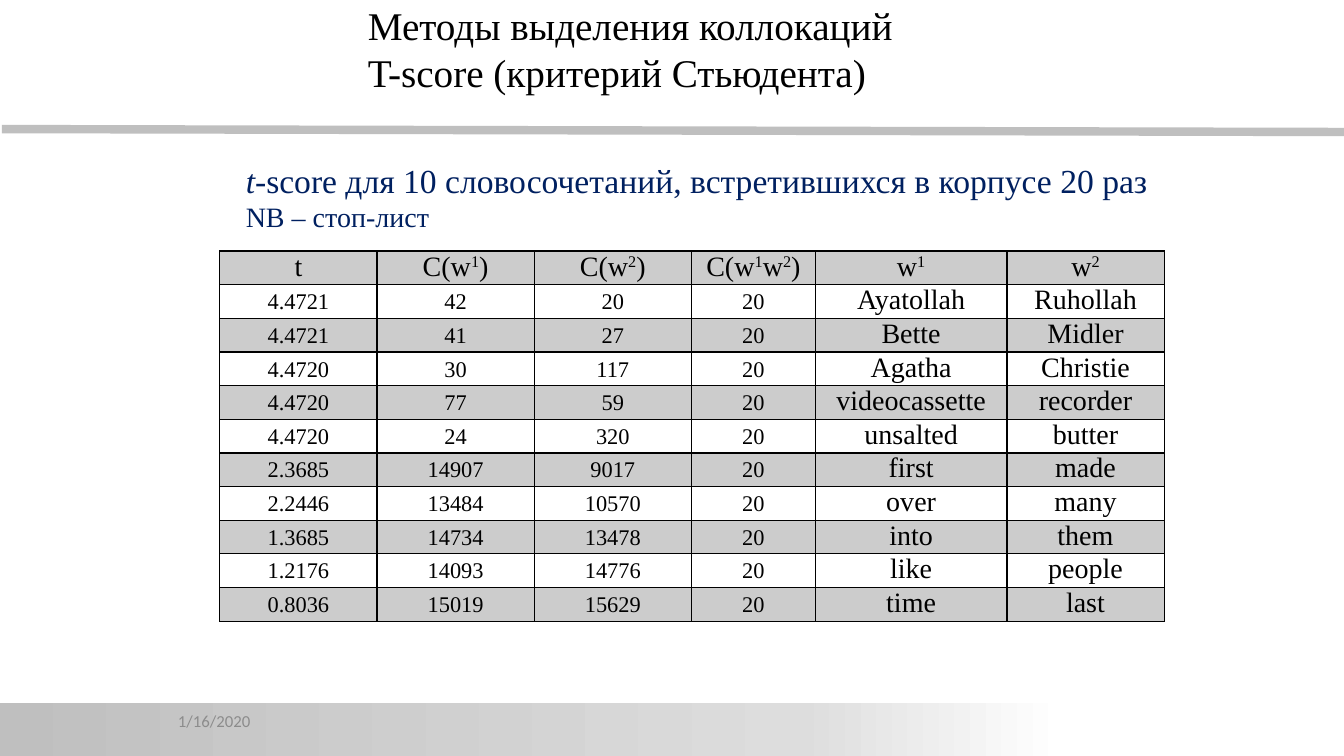
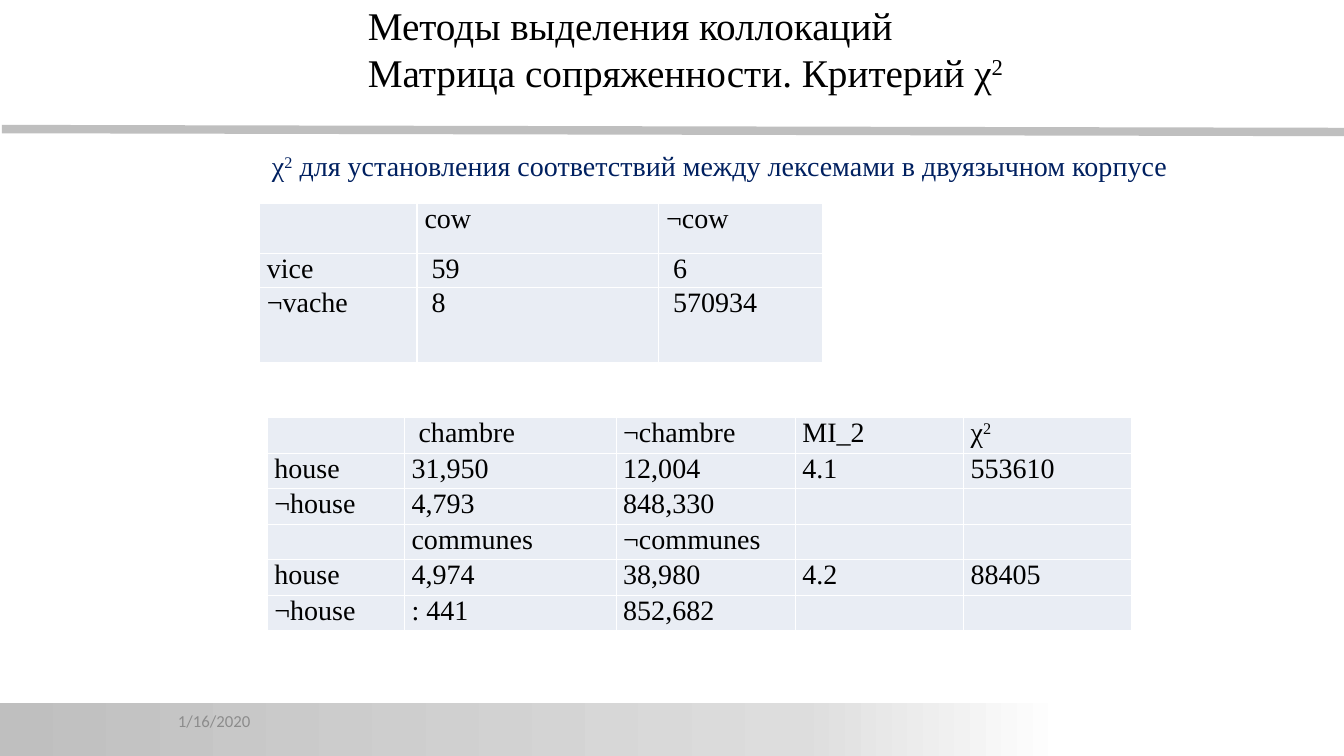
from lxml import etree
from pptx import Presentation
from pptx.dml.color import RGBColor
from pptx.enum.shapes import MSO_CONNECTOR, MSO_SHAPE
from pptx.enum.text import MSO_ANCHOR, PP_ALIGN
from pptx.oxml.ns import qn
from pptx.util import Pt

BLACK = RGBColor(0x00, 0x00, 0x00)
WHITE = RGBColor(0xFF, 0xFF, 0xFF)
NAVY = RGBColor(0x00, 0x20, 0x60)
SILVER = RGBColor(0xBF, 0xBF, 0xBF)
PALE = RGBColor(0xDD, 0xDD, 0xDD)
DATE_GRAY = RGBColor(0x8C, 0x8C, 0x8C)
ICE = RGBColor(0xE9, 0xED, 0xF4)
SERIF, SANS = "Times New Roman", "Calibri"
LEFT, CENTER = PP_ALIGN.LEFT, PP_ALIGN.CENTER
TOP, MIDDLE = MSO_ANCHOR.TOP, MSO_ANCHOR.MIDDLE
STRAIGHT, RECT = MSO_CONNECTOR.STRAIGHT, MSO_SHAPE.RECTANGLE
BAND_STOPS = ((0, SILVER), (75, PALE), (100, WHITE))
HEADING = "Методы выделения коллокаций"


class Deck:
    """Holds the shared style and the slide being built."""

    def __init__(self):
        self.prs = Presentation()
        self.prs.slide_width, self.prs.slide_height = Pt(960), Pt(540)
        self.s = None

    def slide(self, subtitle):
        self.s = self.prs.slides.add_slide(self.prs.slide_layouts[6])
        self.rule(1.4, 92.2, 960, 94.3)
        self.band(0, 502, 760, 38)
        self.text(120, 500.4, 168, 28.8, [("1/16/2020", 12)], DATE_GRAY, SANS, MIDDLE)
        self.text(255.6, -2.9, 555, 75, [(HEADING, 28), (subtitle, 28)], BLACK)

    def rule(self, x1, y1, x2, y2):
        line = self.s.shapes.add_connector(STRAIGHT, Pt(x1), Pt(y1), Pt(x2), Pt(y2))
        line.line.color.rgb = SILVER
        line.line.width = Pt(6)
        etree.SubElement(line._element.spPr, qn("a:effectLst"))

    def band(self, x, y, w, h):
        band = self.s.shapes.add_shape(RECT, Pt(x), Pt(y), Pt(w), Pt(h))
        band.shadow.inherit = False
        band.line.fill.background()
        band.fill.gradient()
        band.fill.gradient_angle = 0
        stops = band._element.spPr.find(".//" + qn("a:gsLst"))
        for stop in list(stops):
            stops.remove(stop)
        for pos, color in BAND_STOPS:
            stop = etree.SubElement(stops, qn("a:gs"), pos=str(pos * 1000))
            etree.SubElement(stop, qn("a:srgbClr"), val=str(color))

    def add_runs(self, p, text, size, color, font=SERIF):
        for i, part in enumerate(text.split("^")):
            if part:
                r = p.add_run()
                r.text = part
                r.font.name, r.font.size = font, Pt(size)
                r.font.color.rgb = color
                if i % 2:
                    r._r.get_or_add_rPr().set("baseline", "30000")

    def text(self, x, y, w, h, lines, color, font=SERIF, anchor=TOP):
        tf = self.s.shapes.add_textbox(Pt(x), Pt(y), Pt(w), Pt(h)).text_frame
        tf.word_wrap, tf.vertical_anchor = True, anchor
        for i, (line, size) in enumerate(lines):
            p = tf.add_paragraph() if i else tf.paragraphs[0]
            self.add_runs(p, line, size, color, font)
        return tf

    def border(self, cell, color):
        tcPr = cell._tc.get_or_add_tcPr()
        for side in ("lnL", "lnR", "lnT", "lnB"):
            ln = etree.SubElement(tcPr, qn("a:" + side), w=str(Pt(1)))
            fill = etree.SubElement(ln, qn("a:solidFill"))
            etree.SubElement(fill, qn("a:srgbClr"), val=str(color))

    def table(self, x, y, widths, heights, rows, edge, fills, align=LEFT,
              margin=5.4, padded=(), opacity=100, small_caps=False):
        frame = self.s.shapes.add_table(len(rows), len(widths), Pt(x), Pt(y),
                                        Pt(sum(widths)), Pt(sum(heights)))
        tbl = frame.table
        tbl.first_row = tbl.horz_banding = False
        for col, width in zip(tbl.columns, widths):
            col.width = Pt(width)
        for row, height in zip(tbl.rows, heights):
            row.height = Pt(height)
        for i, values in enumerate(rows):
            for j, value in enumerate(values):
                cell = tbl.cell(i, j)
                cell.margin_top = cell.margin_bottom = 0
                cell.margin_left = Pt(margin + 5 * ((i, j) in padded))
                cell.margin_right = Pt(margin)
                self.border(cell, edge)
                fill = fills[i % len(fills)]
                if fill is None:
                    cell.fill.background()
                else:
                    cell.fill.solid()
                    cell.fill.fore_color.rgb = fill
                    if opacity < 100:
                        clr = cell._tc.tcPr.find(qn("a:solidFill") + "/" + qn("a:srgbClr"))
                        etree.SubElement(clr, qn("a:alpha"), val=str(opacity * 1000))
                p = cell.text_frame.paragraphs[0]
                p.alignment = align
                self.add_runs(p, value, 20, BLACK)
                if small_caps and value[0].isdigit():
                    p.runs[0]._r.get_or_add_rPr().set("cap", "small")


def t_score(deck):
    deck.slide("T-score (критерий Стьюдента)")
    rows = [
        ("t", "C(w^1^)", "C(w^2^)", "C(w^1^w^2^)", "w^1^", "w^2^"),
        ("4.4721", "42", "20", "20", "Ayatollah", "Ruhollah"),
        ("4.4721", "41", "27", "20", "Bette", "Midler"),
        ("4.4720", "30", "117", "20", "Agatha", "Christie"),
        ("4.4720", "77", "59", "20", "videocassette", "recorder"),
        ("4.4720", "24", "320", "20", "unsalted", "butter"),
        ("2.3685", "14907", "9017", "20", "first", "made"),
        ("2.2446", "13484", "10570", "20", "over", "many"),
        ("1.3685", "14734", "13478", "20", "into", "them"),
        ("1.2176", "14093", "14776", "20", "like", "people"),
        ("0.8036", "15019", "15629", "20", "time", "last"),
    ]
    deck.table(157, 179.3, [112.3] * 3 + [88.6, 136.8, 112.3], [24] * len(rows), rows,
               BLACK, (BLACK, None), CENTER, 5, opacity=20, small_caps=True)
    tf = deck.text(168.5, 110.2, 674.6, 60.5, [
        ("t^^-score для 10 словосочетаний, встретившихся в корпусе 20 раз", 24),
        ("NB – стоп-лист", 20),
    ], NAVY, anchor=MIDDLE)
    tf.paragraphs[0].runs[0].font.italic = True


def chi_square(deck):
    deck.slide("Матрица сопряженности. Критерий χ^2^")
    deck.text(187.2, 102.6, 680, 32, [
        ("χ^2^ для установления соответствий между лексемами в двуязычном корпусе", 20),
    ], NAVY)
    cows = [
        ("", "cow", "¬cow"),
        ("vice", "59", "6"),
        ("¬vache", "8", "570934"),
    ]
    deck.table(185.2, 145.6, [112.7, 172.6, 117.2], [35.5, 24, 54], cows, WHITE, (ICE,),
               padded={(i, j) for i in (1, 2) for j in (1, 2)})
    houses = [
        ("", "chambre", "¬chambre", "MI_2", "χ^2^"),
        ("house", "31,950", "12,004", "4.1", "553610"),
        ("¬house", "4,793", "848,330", "", ""),
        ("", "communes", "¬communes", "", ""),
        ("house", "4,974", "38,980", "4.2", "88405"),
        ("¬house", ": 441", "852,682", "", ""),
    ]
    deck.table(191, 298.3, [98, 151.2, 128, 120.2, 120.2], [25.4] * len(houses), houses,
               WHITE, (ICE,), margin=5, padded={(0, 1)})


def main():
    deck = Deck()
    t_score(deck)
    chi_square(deck)
    deck.prs.save("out.pptx")


if __name__ == "__main__":
    main()
